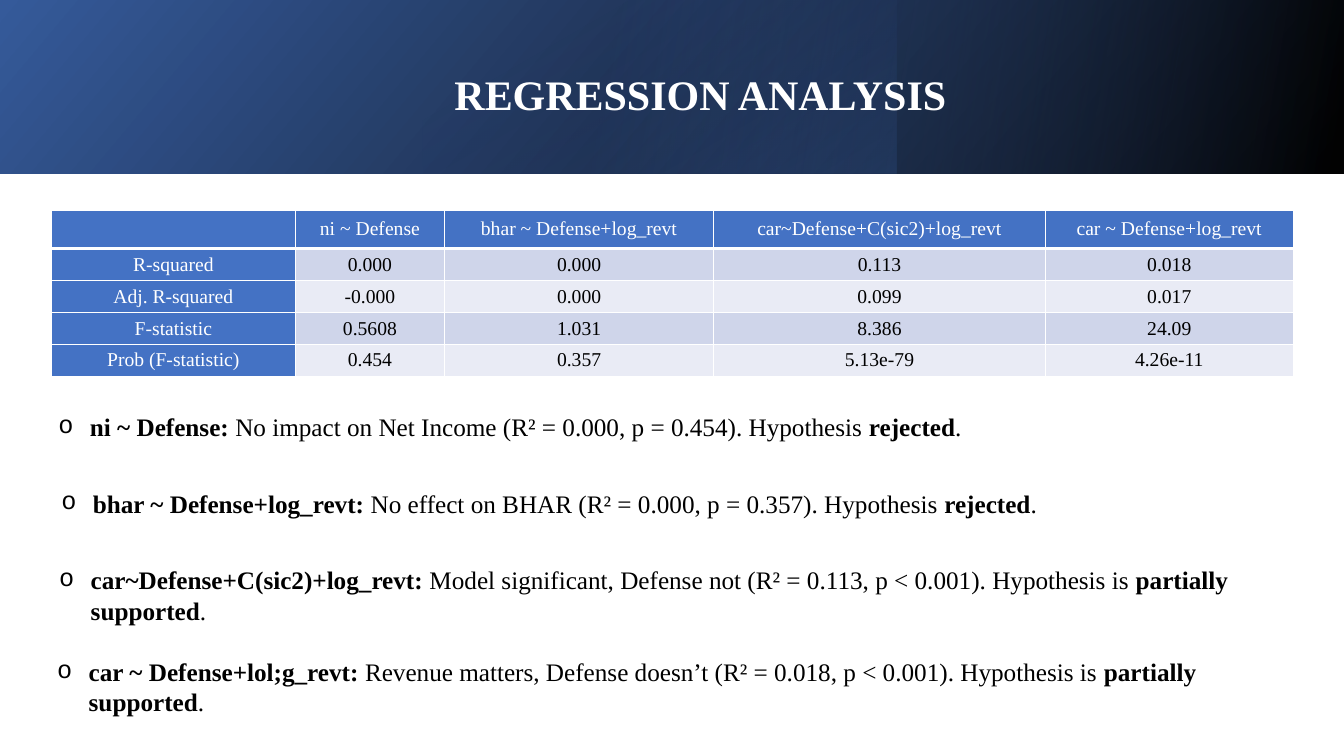
from dataclasses import dataclass

from lxml import etree
from pptx import Presentation
from pptx.dml.color import RGBColor
from pptx.enum.shapes import MSO_SHAPE
from pptx.enum.text import MSO_ANCHOR, PP_ALIGN
from pptx.oxml.ns import qn
from pptx.util import Pt

RECTANGLE = MSO_SHAPE.RECTANGLE
MIDDLE = MSO_ANCHOR.MIDDLE
CENTER = PP_ALIGN.CENTER
BLANK_LAYOUT = 6


@dataclass(frozen=True)
class Theme:
    font: str = "Times New Roman"
    bullet_font: str = "Courier New"
    white: str = "FFFFFF"
    black: str = "000000"
    blue: str = "4472C4"
    deep_blue: str = "2F5597"
    navy: str = "203864"
    bands: tuple = ("CFD5EA", "E9EBF5")
    title_size: float = 30
    table_size: float = 14
    body_size: float = 18


class SlideBuilder:
    def __init__(self, slide, theme):
        self.slide = slide
        self.theme = theme

    def add_run(self, paragraph, text, size, color, bold=False):
        run = paragraph.add_run()
        run.text = text
        run.font.name = self.theme.font
        run.font.size = Pt(size)
        run.font.bold = bold
        run.font.color.rgb = RGBColor.from_string(color)

    def gradient(self, left, width, height, stops, clockwise_angle):
        shape = self.slide.shapes.add_shape(RECTANGLE, Pt(left), 0, Pt(width), Pt(height))
        shape.shadow.inherit = False
        shape.line.fill.background()
        shape.fill.gradient()
        shape.fill.gradient_angle = 360 - clockwise_angle
        for stop, (position, color, _) in zip(shape.fill.gradient_stops, stops):
            stop.position = position / 100
            stop.color.rgb = RGBColor.from_string(color)
        colors = shape.element.spPr.iter(qn("a:srgbClr"))
        for color_element, (_, _, opacity) in zip(colors, stops):
            etree.SubElement(color_element, qn("a:alpha"), val=str(opacity * 1000))

    def text_box(self, left, top, width, height):
        shape = self.slide.shapes.add_textbox(Pt(left), Pt(top), Pt(width), Pt(height))
        shape.text_frame.word_wrap = True
        return shape.text_frame

    def title(self, text, left, top, width, height):
        frame = self.text_box(left, top, width, height)
        frame.vertical_anchor = MIDDLE
        paragraph = frame.paragraphs[0]
        paragraph.alignment = CENTER
        paragraph.line_spacing = 0.9
        self.add_run(paragraph, text, self.theme.title_size, self.theme.white, True)

    def finding(self, model, result, verdict, left, top, width, height):
        paragraph = self.text_box(left, top, width, height).paragraphs[0]
        properties = paragraph._p.get_or_add_pPr()
        indent = Pt(22.5)
        properties.set("marL", str(indent))
        properties.set("indent", str(-indent))
        etree.SubElement(properties, qn("a:buFont"), typeface=self.theme.bullet_font)
        etree.SubElement(properties, qn("a:buChar"), char="o")
        for text, bold in ((model + ": ", True), (result + " ", False), (verdict, True), (".", False)):
            self.add_run(paragraph, text, self.theme.body_size, self.theme.black, bold)

    def border(self, cell, side, width):
        line = etree.SubElement(cell._tc.get_or_add_tcPr(), qn("a:" + side), w=str(Pt(width)))
        fill = etree.SubElement(line, qn("a:solidFill"))
        etree.SubElement(fill, qn("a:srgbClr"), val=self.theme.white)

    def cell(self, cell, text, row, column):
        theme = self.theme
        is_heading = row == 0 or column == 0
        widths = {"lnL": 1, "lnR": 1, "lnT": 3 if row == 1 else 1, "lnB": 3 if row == 0 else 1}
        for side, width in widths.items():
            self.border(cell, side, width)
        cell.fill.solid()
        background = theme.blue if is_heading else theme.bands[(row - 1) % 2]
        cell.fill.fore_color.rgb = RGBColor.from_string(background)
        cell.margin_top = cell.margin_bottom = Pt(3)
        cell.vertical_anchor = MIDDLE
        paragraph = cell.text_frame.paragraphs[0]
        paragraph.alignment = CENTER
        self.add_run(paragraph, text, theme.table_size, theme.white if is_heading else theme.black)

    def table(self, rows, left, top, column_widths, row_height):
        frame = self.slide.shapes.add_table(
            len(rows), len(column_widths), Pt(left), Pt(top),
            Pt(sum(column_widths)), Pt(row_height * len(rows)))
        table = frame.table
        for column, width in zip(table.columns, column_widths):
            column.width = Pt(width)
        for row_index, values in enumerate(rows):
            table.rows[row_index].height = Pt(row_height)
            for column_index, value in enumerate(values):
                self.cell(table.cell(row_index, column_index), value, row_index, column_index)


REGRESSION_ROWS = [
    ("", "ni ~ Defense", "bhar ~ Defense+log_revt", "car~Defense+C(sic2)+log_revt", "car ~ Defense+log_revt"),
    ("R-squared", "0.000", "0.000", "0.113", "0.018"),
    ("Adj. R-squared", "-0.000", "0.000", "0.099", "0.017"),
    ("F-statistic", "0.5608", "1.031", "8.386", "24.09"),
    ("Prob (F-statistic)", "0.454", "0.357", "5.13e-79", "4.26e-11"),
]

FINDINGS = [
    ("ni ~ Defense", "No impact on Net Income (R² = 0.000, p = 0.454). Hypothesis",
     "rejected", 34.6, 290.2, 865.4, 29),
    ("bhar ~ Defense+log_revt", "No effect on BHAR (R² = 0.000, p = 0.357). Hypothesis",
     "rejected", 36.7, 345, 910.8, 29),
    ("car~Defense+C(sic2)+log_revt",
     "Model significant, Defense not (R² = 0.113, p < 0.001). Hypothesis is",
     "partially supported", 35.2, 399.8, 879, 51),
    ("car ~ Defense+lol;g_revt",
     "Revenue matters, Defense doesn’t (R² = 0.018, p < 0.001). Hypothesis is",
     "partially supported", 33.8, 465.2, 876.2, 51),
]


def main():
    presentation = Presentation()
    presentation.slide_width = Pt(960)
    presentation.slide_height = Pt(540)
    slide = presentation.slides.add_slide(presentation.slide_layouts[BLANK_LAYOUT])
    theme = Theme()
    builder = SlideBuilder(slide, theme)

    banner_height = 124
    builder.gradient(0, 960, banner_height, [(0, theme.deep_blue, 96), (100, theme.black, 96)], 40)
    builder.gradient(0, 960, banner_height, [(45, theme.blue, 0), (99, theme.black, 74)], 10)
    builder.gradient(301.7, 339, banner_height, [(0, theme.blue, 17), (74, theme.navy, 0)], 240)
    builder.title("REGRESSION ANALYSIS", 127.4, 28.8, 746, 81.4)

    builder.table(REGRESSION_ROWS, 36.8, 150, [174.2, 106.6, 192.2, 237, 177], 22.6)
    for finding in FINDINGS:
        builder.finding(*finding)

    presentation.save("out.pptx")


if __name__ == "__main__":
    main()
